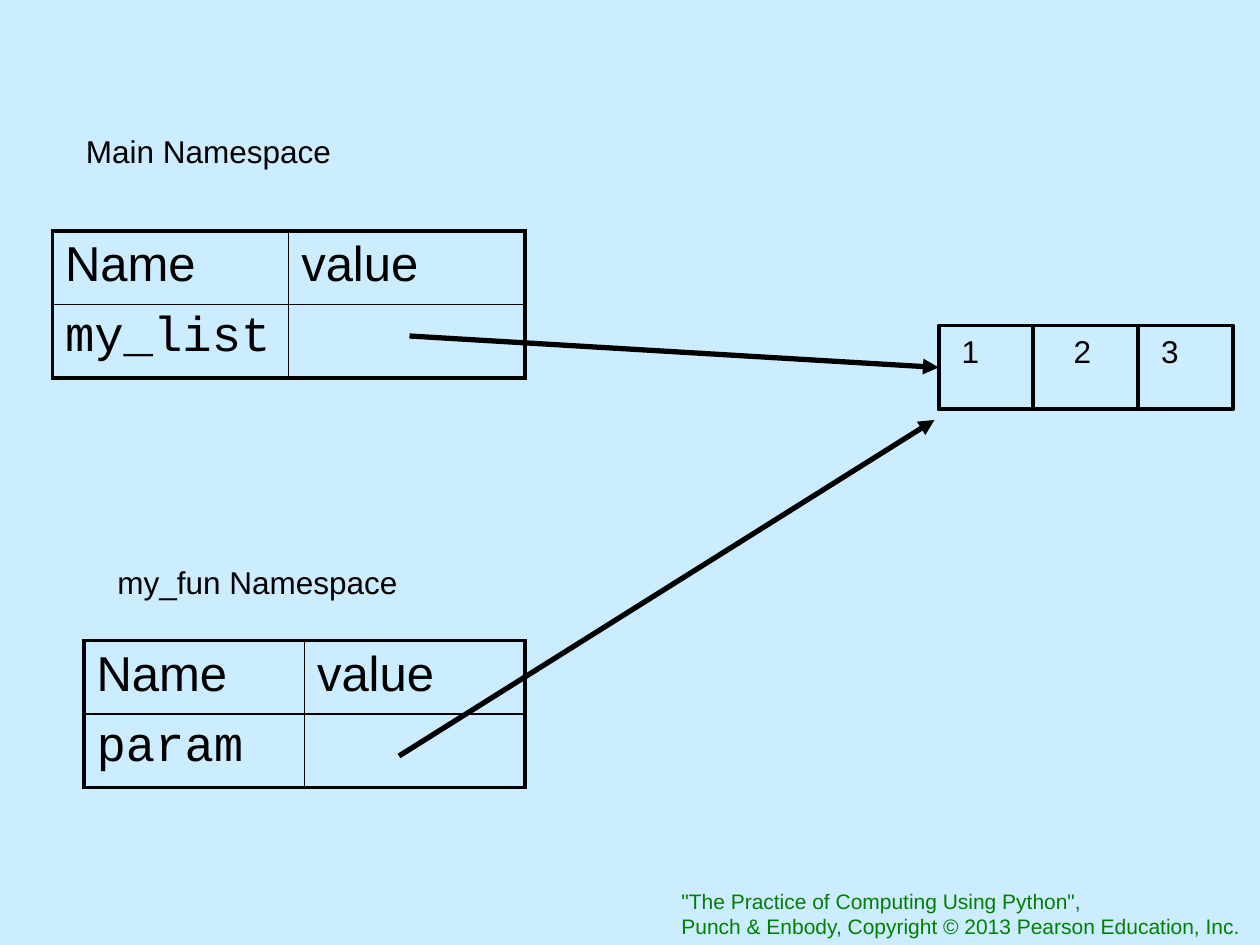
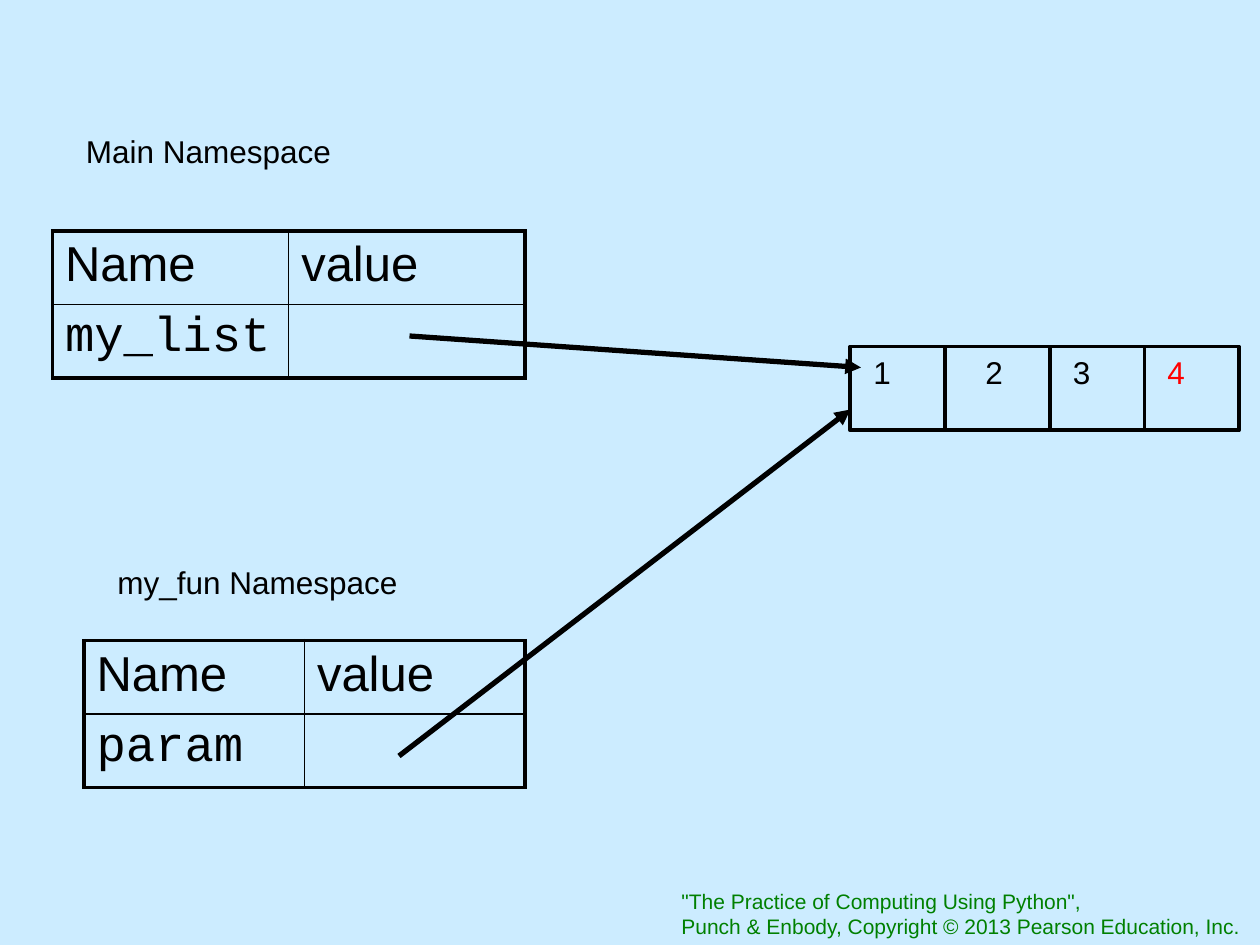
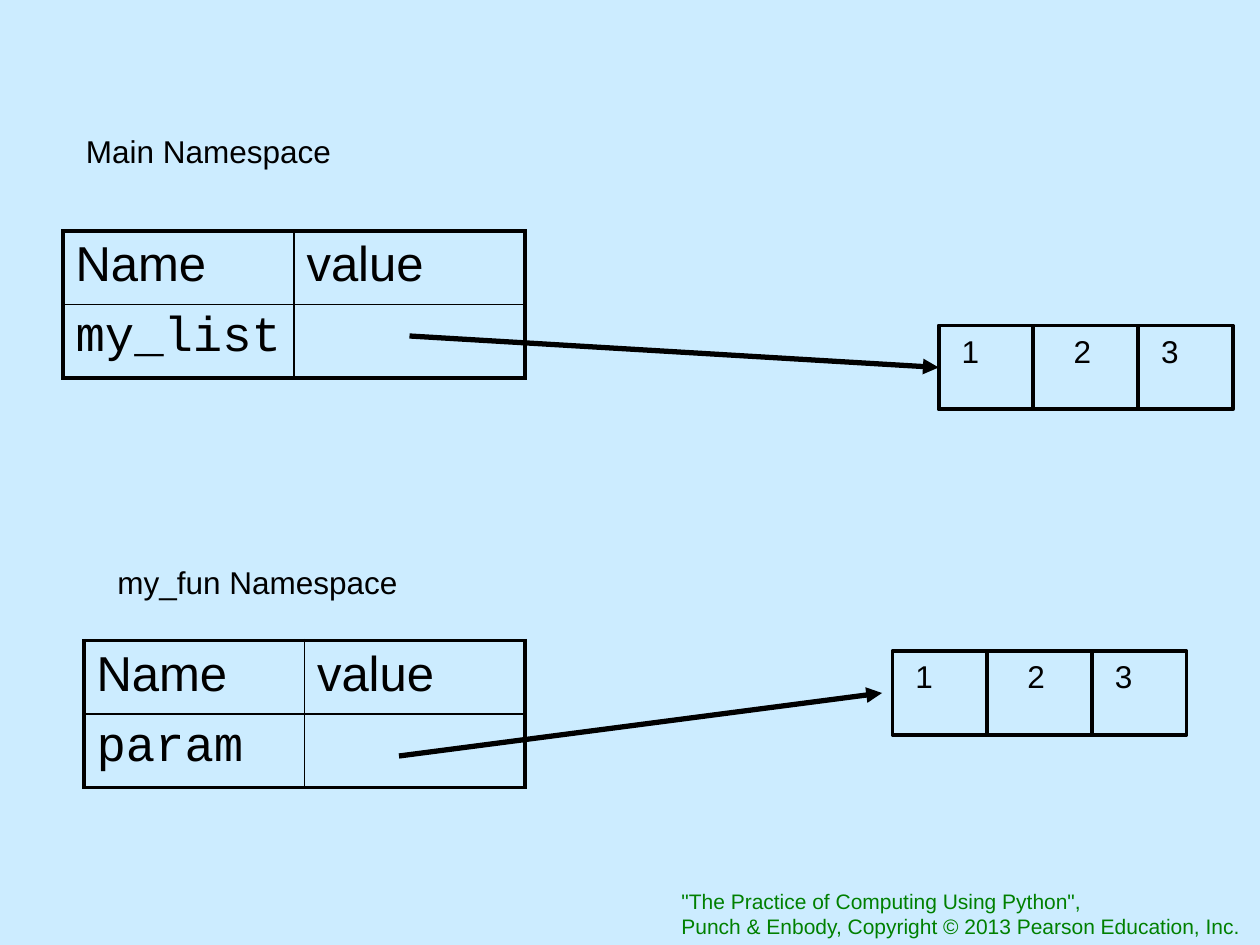
from lxml import etree
from pptx import Presentation
from pptx.dml.color import RGBColor
from pptx.enum.shapes import MSO_CONNECTOR, MSO_SHAPE
from pptx.oxml.ns import qn
from pptx.util import Pt

STRAIGHT = MSO_CONNECTOR.STRAIGHT
RECTANGLE = MSO_SHAPE.RECTANGLE

COLORS = {
    "background": "CCECFF",
    "ink": "000000",
    "footer": "008000",
    "new_item": "FF0000",
}
BODY_FONT = "Arial"
CODE_FONT = "Courier New"
OUTLINE = 2.25
INNER_BORDER = 1
ROW_HEIGHT = 42
STRIP_HEIGHT = 48
ITEM_WIDTHS = (54, 60, 54, 54)
ITEM_INDENTS = (6, 16, 6, 6)
TABLES_RIGHT = 300
FOOTER_LINES = (
    '"The Practice of Computing Using Python",',
    "Punch & Enbody, Copyright © 2013 Pearson Education, Inc.",
)

MAIN_ARROW_START = (234, 192)
FUNCTION_ARROW_START = (228, 432)
# Each list is (left, top, items); each arrow is (start, end).
SLIDES = (
    {
        "main_left": 30,
        "lists": [(536.4, 186, "123")],
        "arrows": [(MAIN_ARROW_START, (536.4, 210)),
                   (FUNCTION_ARROW_START, (534, 240))],
    },
    {
        "main_left": 30,
        "lists": [(486, 198, "1234")],
        "arrows": [(MAIN_ARROW_START, (492, 210)),
                   (FUNCTION_ARROW_START, (486, 234))],
    },
    {
        "main_left": 36,
        "lists": [(536.4, 186, "123"), (510, 372, "123")],
        "arrows": [(MAIN_ARROW_START, (536.4, 210)),
                   (FUNCTION_ARROW_START, (504, 396))],
    },
)


def color(name):
    return RGBColor.from_string(COLORS[name])


def write_text(text_frame, *lines, size=18, font=BODY_FONT, ink="ink"):
    text_frame.word_wrap = True
    for index, line in enumerate(lines):
        paragraph = text_frame.add_paragraph() if index else text_frame.paragraphs[0]
        paragraph.text = line
        paragraph.font.size = Pt(size)
        paragraph.font.name = font
        paragraph.font.color.rgb = color(ink)


def add_text(slide, left, top, width, height, *lines, **text_format):
    box = slide.shapes.add_textbox(Pt(left), Pt(top), Pt(width), Pt(height))
    write_text(box.text_frame, *lines, **text_format)


def add_line(slide, start, end, width=OUTLINE, arrow=False):
    line = slide.shapes.add_connector(
        STRAIGHT, *(Pt(value) for value in (*start, *end)))
    line.line.width = Pt(width)
    line.line.color.rgb = color("ink")
    properties = line.line._get_or_add_ln()
    if arrow:
        etree.SubElement(properties, qn("a:tailEnd"), type="triangle")
    properties.addnext(etree.Element(qn("a:effectLst")))


def set_borders(cell, row, column):
    """Thick borders on the outside of a two-by-two table, thin ones within."""
    cell_properties = cell._tc.get_or_add_tcPr()
    outer_sides = {"L": column == 0, "R": column == 1, "T": row == 0, "B": row == 1}
    for side, is_outer in outer_sides.items():
        width = Pt(OUTLINE if is_outer else INNER_BORDER)
        border = etree.SubElement(cell_properties, qn(f"a:ln{side}"), w=str(int(width)))
        fill = etree.SubElement(border, qn("a:solidFill"))
        etree.SubElement(fill, qn("a:srgbClr"), val=COLORS["ink"])


def add_namespace_table(slide, left, top, width, variable):
    table = slide.shapes.add_table(
        2, 2, Pt(left), Pt(top), Pt(width), Pt(2 * ROW_HEIGHT)).table
    table.first_row = table.horz_banding = False
    for column in table.columns:
        column.width = Pt(width / 2)
    for row_index, values in enumerate((("Name", "value"), (variable, ""))):
        table.rows[row_index].height = Pt(ROW_HEIGHT)
        for column_index, value in enumerate(values):
            cell = table.cell(row_index, column_index)
            cell.margin_right = Pt(6)
            font = CODE_FONT if row_index else BODY_FONT
            write_text(cell.text_frame, value, size=28, font=font)
            set_borders(cell, row_index, column_index)
            cell.fill.background()


def add_list(slide, left, top, items):
    """A strip of list items; a fourth item is marked as newly appended."""
    width = sum(ITEM_WIDTHS[:len(items)])
    outline = slide.shapes.add_shape(
        RECTANGLE, Pt(left), Pt(top), Pt(width), Pt(STRIP_HEIGHT))
    outline.shadow.inherit = False
    outline.fill.background()
    outline.line.width = Pt(OUTLINE)
    outline.line.color.rgb = color("ink")
    item_left = left
    for index, (item, item_width, indent) in enumerate(
            zip(items, ITEM_WIDTHS, ITEM_INDENTS)):
        if index:
            add_line(slide, (item_left, top), (item_left, top + STRIP_HEIGHT))
        add_text(slide, item_left + indent, top, 32.4, 45, item,
                 ink="new_item" if index == 3 else "ink")
        item_left += item_width


def add_namespace_slide(presentation, main_left, lists, arrows):
    slide = presentation.slides.add_slide(presentation.slide_layouts[6])
    add_text(slide, 382.3, 504, 337, 36, *FOOTER_LINES, size=12, ink="footer")
    for left, top, items in lists:
        add_list(slide, left, top, items)
    add_text(slide, 42, 72, 263, 45, "Main Namespace")
    add_namespace_table(slide, main_left, 132, TABLES_RIGHT - main_left, "my_list")
    add_text(slide, 60, 318, 176.4, 29, "my_fun Namespace")
    add_namespace_table(slide, 48, 366, TABLES_RIGHT - 48, "param")
    for start, end in arrows:
        add_line(slide, start, end, width=3, arrow=True)


def main():
    presentation = Presentation()
    presentation.slide_width, presentation.slide_height = Pt(720), Pt(540)
    background = presentation.slide_master.background.fill
    background.solid()
    background.fore_color.rgb = color("background")
    for content in SLIDES:
        add_namespace_slide(presentation, **content)
    presentation.save("out.pptx")


if __name__ == "__main__":
    main()
